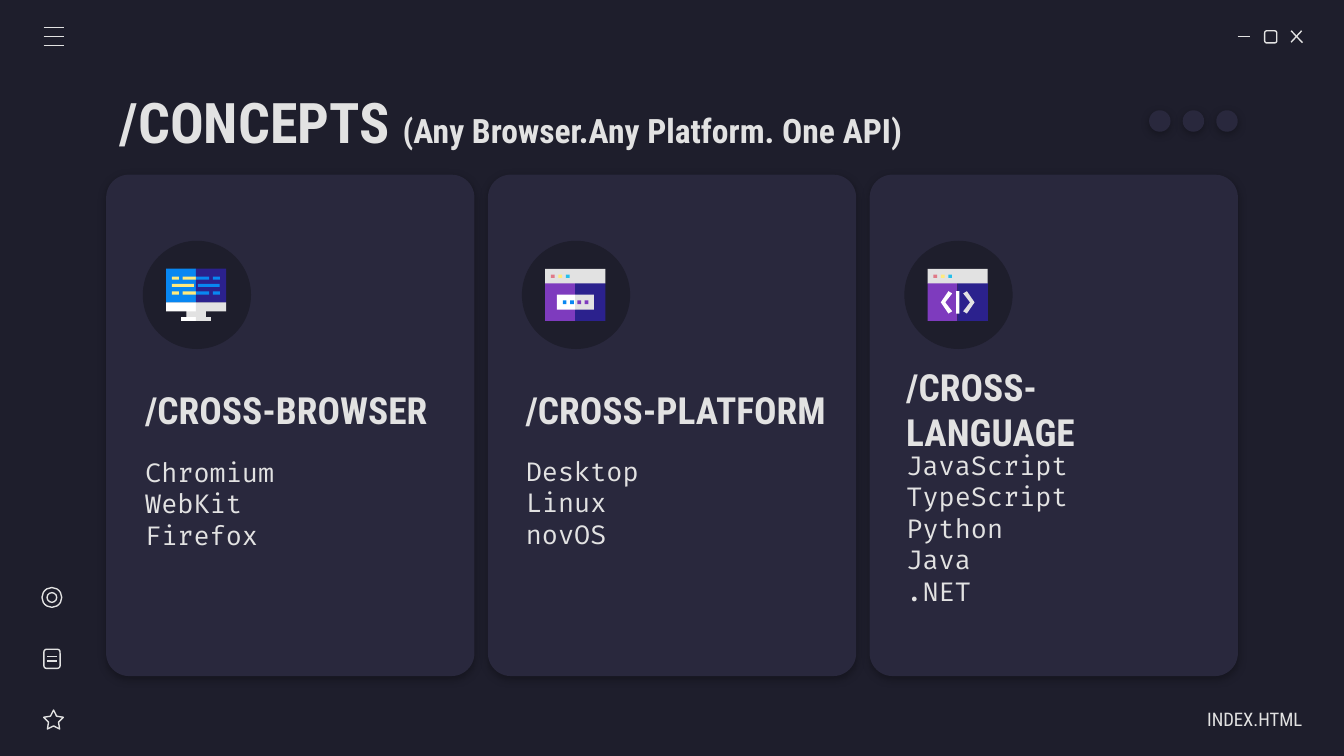
from lxml import etree
from pptx import Presentation
from pptx.dml.color import RGBColor
from pptx.enum.shapes import MSO_CONNECTOR as Connector, MSO_SHAPE as Preset
from pptx.enum.text import MSO_ANCHOR as Anchor, MSO_AUTO_SIZE as AutoSize, PP_ALIGN as Align
from pptx.oxml import parse_xml
from pptx.oxml.ns import nsdecls, qn
from pptx.util import Pt

DARK = RGBColor(0x1E, 0x1E, 0x2C)
PANEL = RGBColor(0x29, 0x28, 0x3D)
LIGHT = RGBColor(0xE2, 0xE2, 0xE2)
WHITE = RGBColor(0xFF, 0xFF, 0xFF)
NAVY = RGBColor(0x2B, 0x21, 0x8D)
PURPLE = RGBColor(0x7E, 0x3B, 0xBE)
BLUE = RGBColor(0x08, 0x87, 0xF2)
CYAN = RGBColor(0x24, 0xBF, 0xEB)
PINK = RGBColor(0xE0, 0x7A, 0x88)
YELLOW = RGBColor(0xFF, 0xEA, 0x7D)
HEADING_FONT = "Roboto Condensed"
LIST_FONT = "Fira Code"

presentation = Presentation()
presentation.slide_width, presentation.slide_height = Pt(720), Pt(405)
slide = presentation.slides.add_slide(presentation.slide_layouts[4])
slide.background.fill.solid()
slide.background.fill.fore_color.rgb = DARK
shapes = slide.shapes


def write_text(shape, text, box, size=20, font=HEADING_FONT, bold=False,
               align=Align.LEFT, right=7.2, bottom=7.2):
    shape.left, shape.top, shape.width, shape.height = map(Pt, box)
    frame = shape.text_frame
    frame.word_wrap = True
    frame.auto_size = AutoSize.NONE
    frame.vertical_anchor = Anchor.MIDDLE
    frame.margin_left = frame.margin_top = Pt(7.2)
    frame.margin_right, frame.margin_bottom = Pt(right), Pt(bottom)
    frame.text = text
    for paragraph in frame.paragraphs:
        properties = paragraph._p.get_or_add_pPr()
        properties.set("marL", "0")
        properties.set("indent", "0")
        etree.SubElement(properties, qn("a:buNone"))
        paragraph.alignment = align
        paragraph.space_before = Pt(0)
        for run in paragraph.runs:
            run.font.size, run.font.name, run.font.bold = Pt(size), font, bold
            run.font.color.rgb = LIGHT


def add_preset(preset, box, fill=None, corner=None, shadow=False):
    shape = shapes.add_shape(preset, *map(Pt, box))
    shape.shadow.inherit = False
    if corner is not None:
        shape.adjustments[0] = corner
    if fill is None:
        shape.fill.background()
        shape.line.color.rgb = LIGHT
        shape.line.width = Pt(0.75)
    else:
        shape.fill.solid()
        shape.fill.fore_color.rgb = fill
        shape.line.fill.background()
    if shadow:
        shape._element.spPr.find(qn("a:effectLst")).append(parse_xml(
            f'<a:outerShdw {nsdecls("a")} blurRad="{Pt(4.5)}" dist="{Pt(1.5)}" '
            'dir="5400000" algn="bl" rotWithShape="0"><a:srgbClr val="000000">'
            '<a:alpha val="30000"/></a:srgbClr></a:outerShdw>'))


for column in range(3):
    add_preset(Preset.ROUNDED_RECTANGLE, (56.9 + 204.5 * column, 93.6, 197.3, 268.6),
               PANEL, 0.062, shadow=True)
    add_preset(Preset.OVAL, (615.6 + 18 * column, 59.1, 11.5, 11.5), PANEL, shadow=True)

add_preset(Preset.ROUNDED_RECTANGLE, (677.5, 16.5, 6.5, 6.5), corner=0.167)
add_preset(Preset.STAR_5_POINT, (23.4, 380.4, 10.6, 10.2), corner=0.254)
add_preset(Preset.ROUNDED_RECTANGLE, (23.5, 347.8, 8.7, 10.3), corner=0.167)
add_preset(Preset.OVAL, (22.5, 314.8, 10.6, 10.6))
add_preset(Preset.OVAL, (25.2, 317.5, 5.2, 5.2))

icon_lines = [(663.1, 19.6, 669.7, 19.6), (691.7, 16.5, 697.8, 22.9), (697.3, 16.5, 691.7, 22.6)]
icon_lines += [(23.4, y, 34.1, y) for y in (14.8, 19.6, 24.4)]
icon_lines += [(25.2, y, 30.4, y) for y in (351.6, 354.1)]
for ends in icon_lines:
    line = shapes.add_connector(Connector.STRAIGHT, *map(Pt, ends))
    line.line.color.rgb = LIGHT
    line.line.width = Pt(0.75)
    etree.SubElement(line._element.spPr, qn("a:effectLst"))

monitor = [(0, 0, 16, 18.2, BLUE), (16, 0, 16.2, 18.2, NAVY), (10.8, 22, 10.6, 5, LIGHT),
           (8, 25.9, 8, 2, WHITE), (16, 25.9, 8, 2, LIGHT),
           (0, 18, 16, 4.9, WHITE), (16, 18, 16.2, 4.9, LIGHT),
           (3.1, 8.1, 11.8, 1.7, YELLOW), (17, 8.1, 11.8, 1.7, BLUE)]
for y in (4.2, 12.2):
    monitor += [(3.1, y, 3.7, 1.7, YELLOW), (8.9, y, 7.1, 1.7, YELLOW),
                (16, y, 7, 1.7, BLUE), (25.1, y, 3.7, 1.7, BLUE)]
window = [(0, 7.7, 16, 20.2, PURPLE), (16, 7.7, 16.2, 20.2, NAVY), (0, 0, 32.2, 7.8, LIGHT)]
window += [(3 + 4 * i, 3.2, 2, 1.7, color) for i, color in enumerate((PINK, YELLOW, CYAN))]
platform = window + [(6.2, 13.9, 9.8, 8.1, WHITE), (16, 13.9, 10.1, 8.1, LIGHT)]
platform += [(9.4 + 3.9 * i, 16.9, 2, 2, color)
             for i, color in enumerate((BLUE, BLUE, PURPLE, PURPLE))]
language = window + [(15.2, 11.9, 1.8, 12.1, WHITE)]

icon_top = 144
language_left = 497
for left, circle_left, icon in ((89, 76.5, monitor), (292.1, 279.6, platform),
                                (language_left, 484.5, language)):
    add_preset(Preset.OVAL, (circle_left, 129, 58, 58), DARK)
    for x, y, width, height, color in icon:
        add_preset(Preset.RECTANGLE, (left + x, icon_top + y, width, height), color)

bracket = [(11.1, 12), (7, 18), (11.1, 24), (13.1, 22.8), (9.4, 18), (13.1, 13.2)]
for points, color in ((bracket, WHITE), ([(32.1 - x, y) for x, y in bracket], LIGHT)):
    corners = [(Pt(language_left + x), Pt(icon_top + y)) for x, y in points]
    builder = shapes.build_freeform(*corners[0])
    builder.add_line_segments(corners[1:])
    chevron = builder.convert_to_shape()
    chevron.shadow.inherit = False
    chevron.fill.solid()
    chevron.fill.fore_color.rgb = color
    chevron.line.fill.background()

title = shapes.title
write_text(title, "/CONCEPTS ", (56.9, 42.2, 566, 45.4), size=30, bold=True)
subtitle = title.text_frame.paragraphs[0].add_run()
subtitle.text = "(Any Browser.Any Platform. One API)"
subtitle.font.size, subtitle.font.name, subtitle.font.bold = Pt(18), HEADING_FONT, True
subtitle.font.color.rgb = LIGHT

cards = [
    ("/CROSS-BROWSER", "Chromium\nWebKit\nFirefox", 70.6, 171.4, 225.4, 88.6, 7.2),
    ("/CROSS-PLATFORM", "Desktop\nLinux\nnovOS", 274.5, 177.8, 238.3, 78.5, 24),
    ("/CROSS-LANGUAGE", "JavaScript\nTypeScript\nPython\nJava\n.NET",
     478.4, 171.4, 252, 78.5, 24),
]
for number, (heading, names, left, width, top, height, bottom) in enumerate(cards, 1):
    write_text(shapes.add_textbox(0, 0, 0, 0), heading, (left, 200.9, width, 36.7), bold=True)
    write_text(slide.placeholders[number], names, (left, top, 171.4, height),
               size=14, font=LIST_FONT, bottom=bottom)

write_text(slide.placeholders[4], "INDEX.HTML", (613.4, 374.4, 84.2, 21.6),
           size=10, align=Align.RIGHT, right=0)

for placeholder in slide.placeholders:
    shapes._spTree.append(placeholder._element)

presentation.save("out.pptx")
